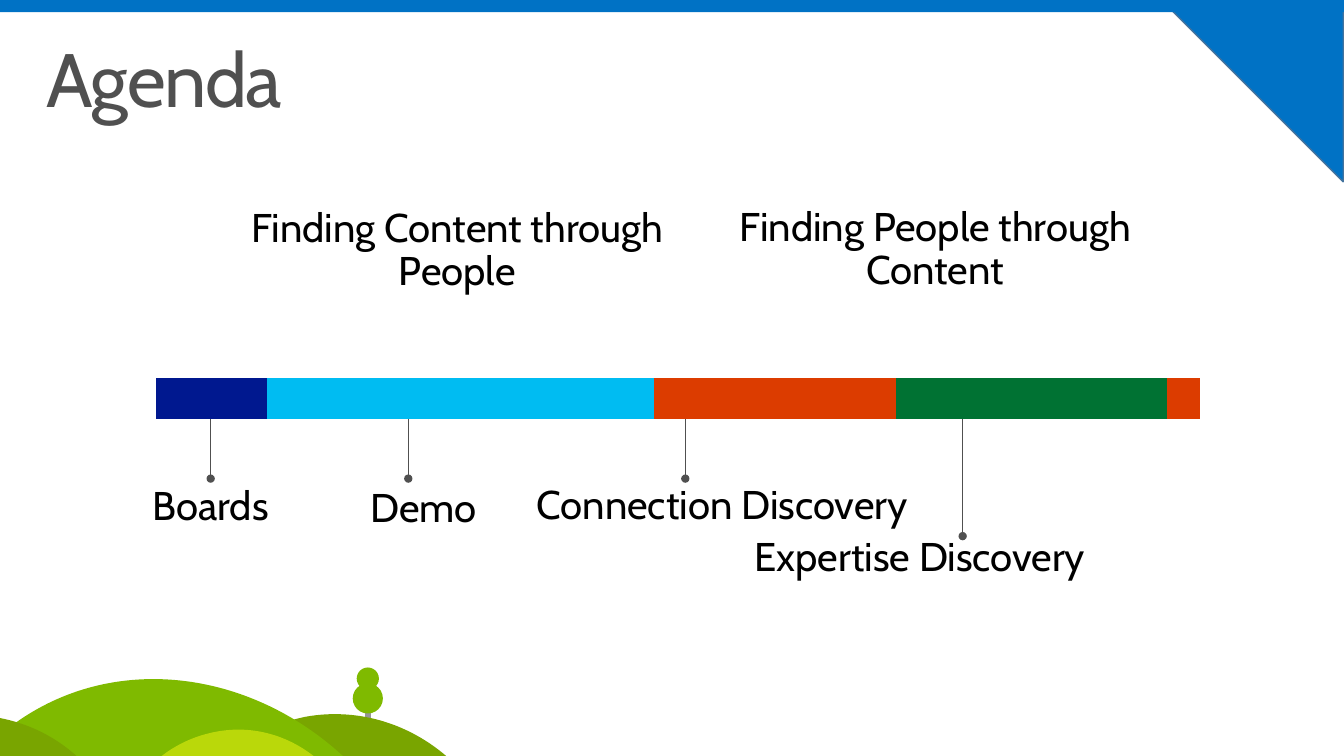
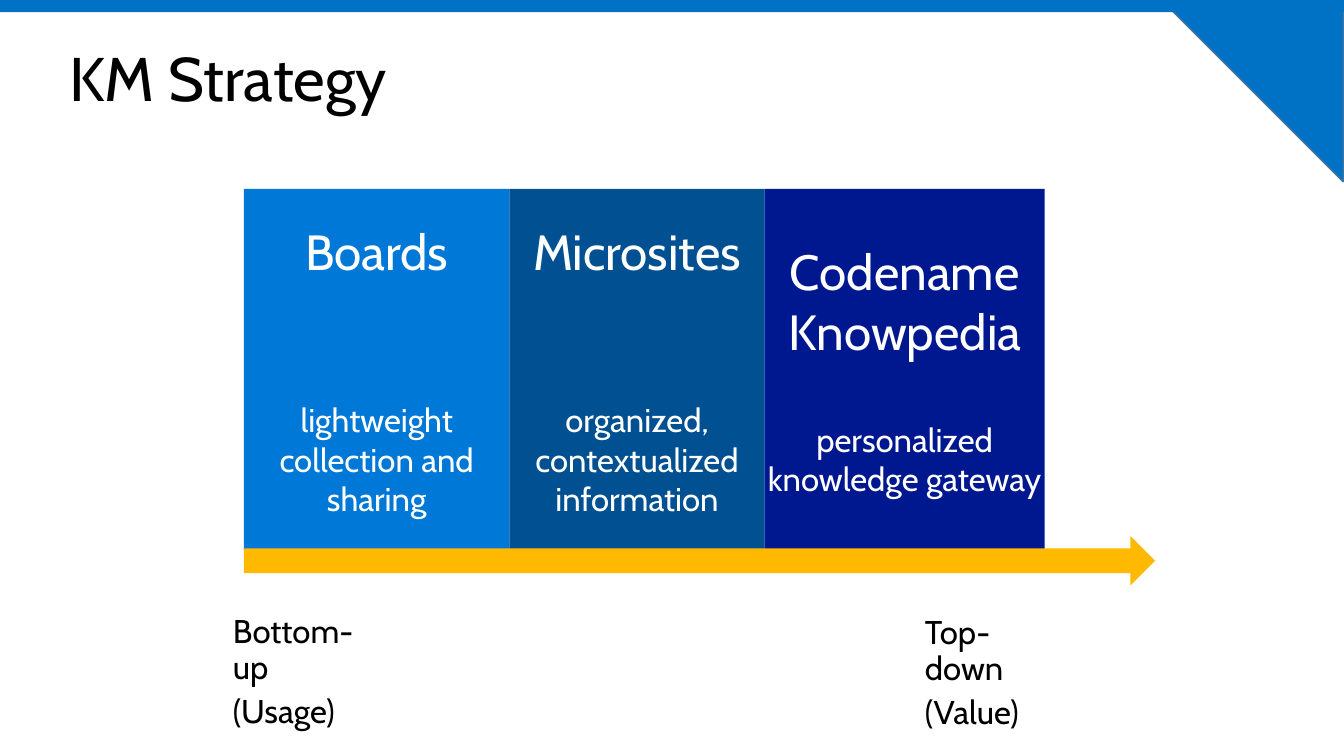
from lxml.etree import SubElement
from pptx import Presentation
from pptx.dml.color import RGBColor
from pptx.enum.shapes import MSO_CONNECTOR, MSO_SHAPE as Shape
from pptx.enum.text import MSO_ANCHOR as Anchor, PP_ALIGN as Align
from pptx.oxml.ns import qn
from pptx.util import Cm, Pt

FONT = "Cabin"
WIDTH, HEIGHT = 33.87, 19.05  # centimetres, like all lengths below

BLACK = RGBColor(0x00, 0x00, 0x00)
WHITE = RGBColor(0xFF, 0xFF, 0xFF)
GRAY = RGBColor(0x50, 0x50, 0x50)
TRUNK_GRAY = RGBColor(0x96, 0x96, 0x96)
BAND_BLUE = RGBColor(0x00, 0x72, 0xC5)
EDGE_BLUE = RGBColor(0x43, 0x73, 0x9E)
BRIGHT_BLUE = RGBColor(0x00, 0x78, 0xD7)
DEEP_BLUE = RGBColor(0x00, 0x50, 0x92)
NAVY = RGBColor(0x00, 0x18, 0x8F)
CYAN = RGBColor(0x00, 0xBC, 0xF2)
ORANGE = RGBColor(0xDC, 0x3C, 0x00)
DARK_GREEN = RGBColor(0x00, 0x72, 0x33)
GREEN = RGBColor(0x7F, 0xBA, 0x00)
OLIVE = RGBColor(0x79, 0xA5, 0x00)
LIME = RGBColor(0xBA, 0xD8, 0x0A)
YELLOW = RGBColor(0xFF, 0xB9, 0x00)

NO_GRID_STYLE = "{2D5ABB26-0587-4C30-8999-92F81FD0307C}"
LABEL_INSETS = (0.51, 0.41)


# Basic elements
def paint(shape, color, line=None):
    shape.shadow.inherit = False
    shape.fill.solid()
    shape.fill.fore_color.rgb = color
    if line is None:
        shape.line.fill.background()
    else:
        shape.line.color.rgb = line
        shape.line.width = Pt(1)


def add_block(page, kind, left, top, width, height, color, line=None):
    block = page.shapes.add_shape(kind, Cm(left), Cm(top), Cm(width), Cm(height))
    paint(block, color, line)
    return block


def set_frame(frame, insets, anchor=Anchor.TOP):
    frame.word_wrap = True
    frame.vertical_anchor = anchor
    frame.margin_left = frame.margin_right = Cm(insets[0])
    frame.margin_top = frame.margin_bottom = Cm(insets[1])


def write(para, text, size, color, align=Align.LEFT):
    para.text = text
    para.alignment = align
    para.font.name = FONT
    para.font.size = Pt(size)
    para.font.color.rgb = color


def add_text(page, left, top, width, height, lines, size, color=BLACK,
             align=Align.LEFT, insets=LABEL_INSETS, anchor=Anchor.TOP, after=6):
    box = page.shapes.add_textbox(Cm(left), Cm(top), Cm(width), Cm(height))
    frame = box.text_frame
    set_frame(frame, insets, anchor)
    for index, line in enumerate(lines):
        para = frame.add_paragraph() if index else frame.paragraphs[0]
        write(para, line, size, color, align)
        para.line_spacing = 0.9
        para.space_after = Pt(after)
    return box


def add_page(deck):
    """Blank page with the corner triangle and the top band."""
    page = deck.slides.add_slide(deck.slide_layouts[6])
    corner = add_block(page, Shape.RIGHT_TRIANGLE, 29.27, 0, 4.58, 4.58,
                       BAND_BLUE, EDGE_BLUE)
    corner.rotation = 180
    add_block(page, Shape.RECTANGLE, 0, 0, WIDTH, 0.31, BAND_BLUE)
    return page


# Timeline
def add_timeline(page, left, top, height, segments):
    total = sum(width for width, _ in segments)
    table = page.shapes.add_table(1, len(segments), Cm(left), Cm(top),
                                  Cm(total), Cm(height)).table
    table.first_row = table.horz_banding = False
    table._tbl.tblPr.find(qn("a:tableStyleId")).text = NO_GRID_STYLE
    table.rows[0].height = Cm(height)
    for index, (width, color) in enumerate(segments):
        table.columns[index].width = Cm(width)
        cell = table.cell(0, index)
        cell.margin_top = cell.margin_bottom = 0
        cell.fill.solid()
        cell.fill.fore_color.rgb = color


def add_marker(page, x, top, bottom):
    marker = page.shapes.add_connector(MSO_CONNECTOR.STRAIGHT,
                                       Cm(x), Cm(top), Cm(x), Cm(bottom))
    marker.line.color.rgb = GRAY
    marker.line.width = Pt(0.75)
    SubElement(marker.line._get_or_add_ln(), qn("a:tailEnd"), type="oval")
    SubElement(marker._element.spPr, qn("a:effectLst"))


def add_label(page, center, top, width, height, text):
    add_text(page, center - width / 2, top, width, height, [text], 28.6,
             align=Align.CENTER)


# Landscape
def add_hill(page, color, peak, base, crest):
    """Draw a chain of cubic curves from left to right, closed along the base."""
    left, right = crest[0][0], crest[-1][0]
    builder = page.shapes.build_freeform(Cm(left), Cm(base))
    builder.add_line_segments(
        [(Cm(left), Cm(peak)), (Cm(right), Cm(peak)), (Cm(right), Cm(base))])
    hill = builder.convert_to_shape()
    paint(hill, color)

    outline = next(hill._element.iter(qn("a:path")))
    for child in list(outline):
        outline.remove(child)

    def draw(command, *points):
        step = SubElement(outline, qn(f"a:{command}"))
        for x, y in points:
            SubElement(step, qn("a:pt"), x=str(Cm(x - left)), y=str(Cm(y - peak)))

    draw("moveTo", crest[0])
    for first in range(1, len(crest), 3):
        draw("cubicBezTo", *crest[first:first + 3])
    draw("lnTo", (right, base))
    draw("lnTo", (left, base))
    draw("close")


def add_landscape(page):
    # Tree
    add_block(page, Shape.RECTANGLE, 9.2, 17.73, 0.15, 0.57, TRUNK_GRAY)
    add_block(page, Shape.OVAL, 8.89, 17.22, 0.76, 0.76, GREEN)
    add_block(page, Shape.OVAL, 8.99, 16.82, 0.56, 0.56, GREEN)
    # Hills, from back to front: colour, peak, crest
    base = 19.53
    hills = [
        (OLIVE, 17.99, [(5.23, base), (5.92, 18.72), (6.81, 18.24),
                        (7.72, 18.06), (9.12, 17.81), (10.64, 18.29),
                        (11.73, base)]),
        (GREEN, 17.12, [(-0.08, 18.59), (2.62, 16.23), (6.63, 16.81),
                        (9.12, base)]),
        (LIME, 18.38, [(3.58, base), (4.09, 18.92), (4.75, 18.57),
                       (5.44, 18.44), (6.48, 18.24), (7.59, 18.59),
                       (8.41, base)]),
        (OLIVE, 18.08, [(-0.08, 18.08), (1.14, 18.29), (1.98, 19),
                        (2.36, base)]),
    ]
    for color, peak, crest in hills:
        add_hill(page, color, peak, base, crest)


# Strategy cards
def add_card(page, left, top, width, height, color, heading, detail, gap):
    card = add_block(page, Shape.RECTANGLE, left, top, width, height, color)
    frame = card.text_frame
    set_frame(frame, (0, 0.13), Anchor.MIDDLE)
    for index, line in enumerate(heading):
        para = frame.add_paragraph() if index else frame.paragraphs[0]
        write(para, line, 35.3, WHITE, Align.CENTER)
    para = frame.add_paragraph()
    write(para, detail, 23.5, WHITE, Align.CENTER)
    para.space_before = Pt(gap)


# Pages
def build_agenda(deck):
    page = add_page(deck)
    title = add_text(page, 0.76, 0.81, 33.02, 2.54, ["Agenda"], 54, GRAY,
                     insets=(0.41, 0.25), after=0)
    span = title.text_frame.paragraphs[0].runs[0]
    span._r.get_or_add_rPr().set("spc", "-100")

    bar_top, bar_height = 9.53, 1.04
    add_timeline(page, 3.94, bar_top, bar_height, [
        (1.22, NAVY), (1.57, NAVY), (9.74, CYAN),
        (6.1, ORANGE), (6.83, DARK_GREEN), (0.84, ORANGE)])
    add_landscape(page)

    add_label(page, 11.52, 4.83, 12.93, 3.02, "Finding Content through People")
    add_label(page, 23.57, 4.8, 14.17, 3.02, "Finding People through Content")

    # Marker x, marker end, label centre, label top, label
    stops = [
        (5.31, 12.06, 5.31, 11.83, "Boards"),
        (10.29, 12.06, 10.68, 11.89, "Demo"),
        (17.27, 12.06, 18.2, 11.82, "Connection Discovery"),
        (24.26, 13.51, 23.18, 13.12, "Expertise Discovery"),
    ]
    for x, end, center, top, text in stops:
        add_marker(page, x, bar_top + bar_height, end)
        add_label(page, center, top, 12.07, 1.93, text)


def build_strategy(deck):
    page = add_page(deck)
    add_text(page, 1.5, 0.81, 32.37, 2.49, ["KM Strategy"], 44,
             insets=(0.25, 0.13), anchor=Anchor.MIDDLE, after=0)

    add_text(page, 5.36, 15.1, 4.6, 2.82, ["Bottom-up", "(Usage)"], 23.5)
    add_text(page, 22.8, 15.12, 4.4, 2.82, ["Top-down", "(Value)"], 23.5)

    start = left = 6.15
    cards = [
        (6.69, BRIGHT_BLUE, ["Boards"],
         "lightweight collection and sharing", 85),
        (6.43, DEEP_BLUE, ["Microsites"],
         "organized, contextualized information", 85),
        (7.06, NAVY, ["Codename", "Knowpedia"],
         "personalized knowledge gateway", 42.5),
    ]
    for width, color, heading, detail, gap in cards:
        add_card(page, left, 4.76, width, 9.12, color, heading, detail, gap)
        left += width
    add_block(page, Shape.RIGHT_ARROW, start, 13.51, 22.96, 1.24, YELLOW)


def main():
    deck = Presentation()
    deck.slide_width, deck.slide_height = Cm(WIDTH), Cm(HEIGHT)
    build_agenda(deck)
    build_strategy(deck)
    deck.save("out.pptx")


if __name__ == "__main__":
    main()
